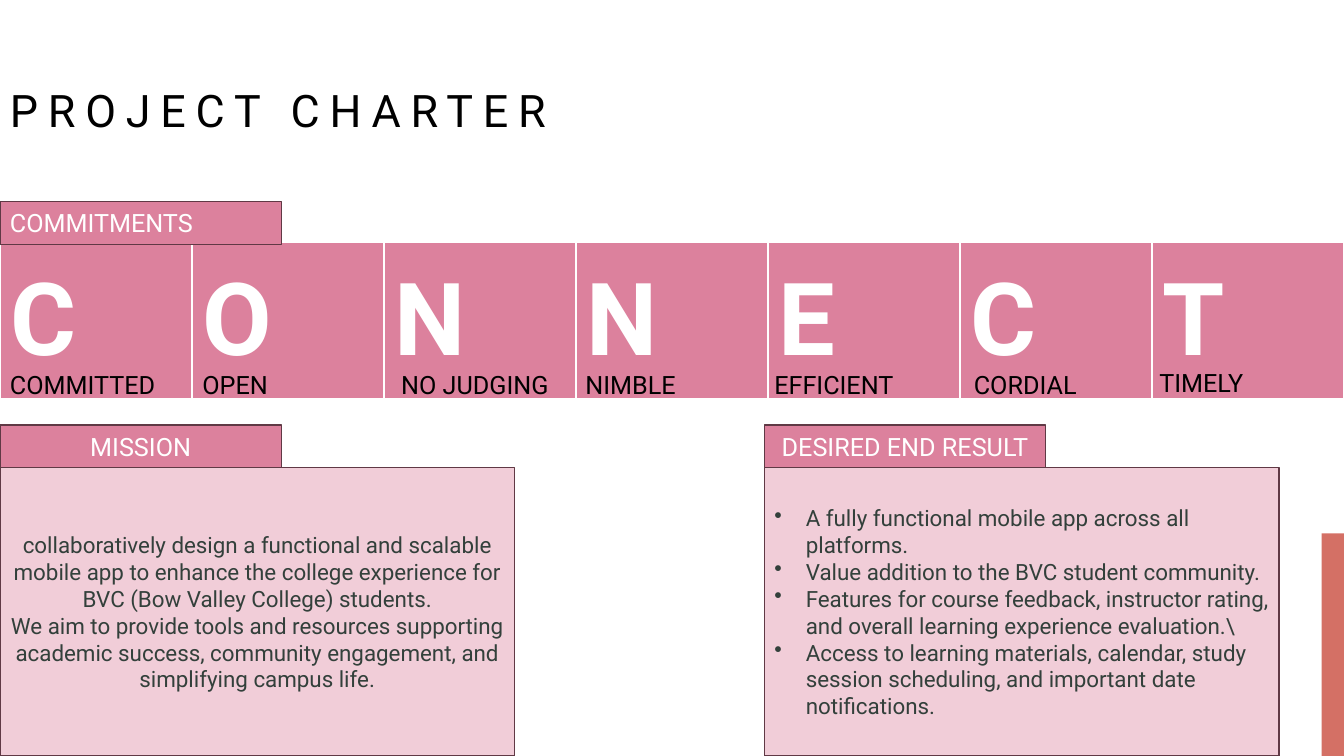
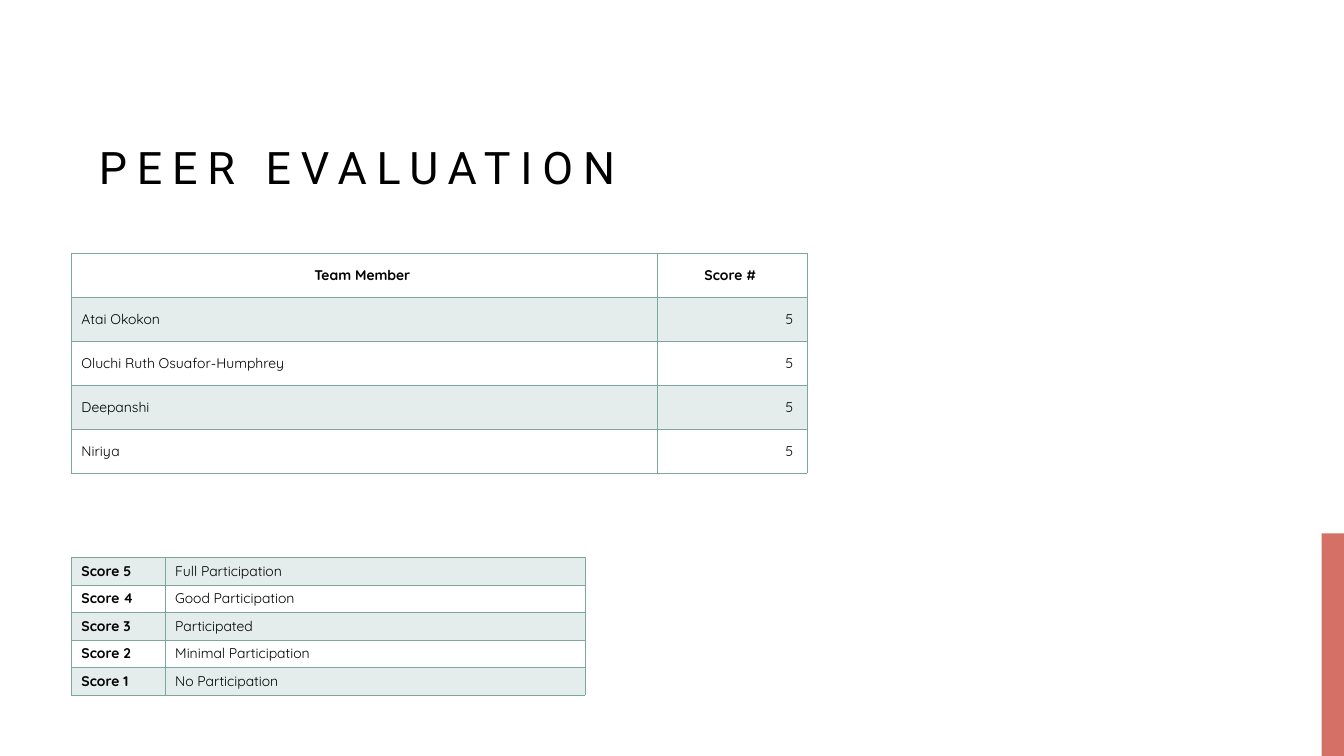
"""Build the project charter and peer evaluation slides."""
from dataclasses import dataclass

from lxml import etree
from pptx import Presentation
from pptx import util as u
from pptx.dml.color import RGBColor
from pptx.enum import shapes, text
from pptx.oxml.ns import qn

Pt = u.Pt
LEFT, CENTER, RIGHT = text.PP_ALIGN.LEFT, text.PP_ALIGN.CENTER, text.PP_ALIGN.RIGHT
MIDDLE, BOTTOM, TOP = text.MSO_ANCHOR.MIDDLE, text.MSO_ANCHOR.BOTTOM, text.MSO_ANCHOR.TOP


@dataclass(frozen=True)
class Theme:
    white: str = "FFFFFF"
    black: str = "000000"
    ink: str = "33403B"
    rose: str = "DC819D"
    blush: str = "F1CDD8"
    outline: str = "603945"
    coral: str = "D47065"
    mist: str = "E4EDEB"
    sage: str = "7BA79D"
    display: str = "Roboto"
    body: str = "Quicksand"
    title_size: int = 32
    letter_size: int = 72
    label_size: int = 18
    panel_size: int = 16
    table_size: int = 10


theme = Theme()


def write(frame, lines, color, font, align=LEFT, anchor=TOP, bullet=False):
    for name, value in {"word_wrap": True, "vertical_anchor": anchor}.items():
        setattr(frame, name, value)
    for index, line in enumerate(lines):
        paragraph = frame.add_paragraph() if index else frame.paragraphs[0]
        paragraph.alignment = align
        if bullet:
            properties = paragraph._p.get_or_add_pPr()
            properties.set("marL", str(Pt(22.5)))
            properties.set("indent", str(-Pt(22.5)))
            etree.SubElement(properties, qn("a:buChar")).set("char", "•")
        run = paragraph.add_run()
        run.text = line
        for name, value in font.items():
            setattr(run.font, name, value)
        run.font.color.rgb = RGBColor.from_string(color)


def draw_table(slide, left, top, widths, height, rows, borders):
    size = len(rows), len(widths)
    frame = slide.shapes.add_table(*size, Pt(left), Pt(top), Pt(sum(widths)), Pt(height * len(rows)))
    table = frame.table
    table.first_row = table.horz_banding = False
    for column, width in zip(table.columns, widths):
        column.width = Pt(width)
    for row, contents in zip(table.rows, rows):
        row.height = Pt(height)
        for cell, (words, fill, color, font, align) in zip(row.cells, contents):
            write(cell.text_frame, [words], color, font, align)
            cell.vertical_anchor = MIDDLE
            if fill:
                cell.fill.solid()
                cell.fill.fore_color.rgb = RGBColor.from_string(fill)
            else:
                cell.fill.background()
            properties = cell._tc.get_or_add_tcPr()
            for index, (side, (line_color, width)) in enumerate(zip("LRTB", borders)):
                line = etree.Element(qn(f"a:ln{side}"), w=str(Pt(width)))
                solid = etree.SubElement(line, qn("a:solidFill"))
                etree.SubElement(solid, qn("a:srgbClr")).set("val", line_color)
                properties.insert(index, line)


presentation = Presentation()
presentation.slide_width, presentation.slide_height = Pt(960), Pt(540)

slides = []
title_font = {"name": theme.display, "size": Pt(theme.title_size)}
for title, left, top in [("PROJECT CHARTER", 0, -12), ("PEER EVALUATION", 63.5, 29)]:
    slide = presentation.slides.add_slide(presentation.slide_layouts[6])
    bar = slide.shapes.add_shape(shapes.MSO_SHAPE.RECTANGLE, Pt(944), Pt(381), Pt(16), Pt(159))
    bar.shadow.inherit = False
    bar.fill.solid()
    bar.fill.fore_color.rgb = RGBColor.from_string(theme.coral)
    bar.line.fill.background()
    box = slide.shapes.add_textbox(Pt(left), Pt(top), Pt(816), Pt(113))
    write(box.text_frame, [title], theme.black, title_font, anchor=BOTTOM)
    paragraph = box.text_frame.paragraphs[0]
    paragraph.line_spacing = 1.2
    paragraph.runs[0]._r.get_or_add_rPr().set("spc", "700")
    slides.append(slide)
charter, evaluation = slides

letter_font = {"name": theme.display, "size": Pt(theme.letter_size), "bold": True}
letters = [(letter, theme.rose, theme.white, letter_font, LEFT) for letter in "CONNECT"]
letter_borders = [(theme.white, 1)] * 3 + [(theme.white, 3)]
draw_table(charter, 0, 172.8, [960 / 7] * 7, 113, [letters], letter_borders)

label_font = {"name": theme.display, "size": Pt(theme.label_size)}
panel_font = {"name": theme.display, "size": Pt(theme.panel_size)}
mission = [
    "collaboratively design a functional and scalable mobile app to enhance the college "
    "experience for BVC (Bow Valley College) students.",
    "We aim to provide tools and resources supporting academic success, community engagement, "
    "and simplifying campus life.",
]
results = [
    "A fully functional mobile app across all platforms.",
    "Value addition to the BVC student community.",
    "Features for course feedback, instructor rating, and overall learning experience evaluation.\\",
    "Access to learning materials, calendar, study session scheduling, and important date notifications.",
]
tab_size, panel_size = (201, 30.5), (367.5, 206)
tab_style = theme.rose, theme.white, label_font
panel_style = theme.blush, theme.ink, panel_font
for lines, left, top, (width, height), (fill, color, font), align, bullet in [
    (mission, 0, 334, panel_size, panel_style, CENTER, False),
    (["MISSION"], 0, 303.5, tab_size, tab_style, CENTER, False),
    (["DESIRED END RESULT"], 546, 303.5, tab_size, tab_style, CENTER, False),
    (results, 546, 334, panel_size, panel_style, LEFT, True),
    (["COMMITMENTS"], 0, 144, tab_size, tab_style, LEFT, False),
]:
    shape = charter.shapes.add_shape(
        shapes.MSO_SHAPE.RECTANGLE, Pt(left), Pt(top), Pt(width), Pt(height))
    shape.shadow.inherit = False
    shape.fill.solid()
    shape.fill.fore_color.rgb = RGBColor.from_string(fill)
    shape.line.color.rgb = RGBColor.from_string(theme.outline)
    shape.line.width = Pt(1)
    write(shape.text_frame, lines, color, font, align, MIDDLE, bullet)

for label, left, top in [
    ("COMMITTED", 0, 260.5), ("OPEN", 137.5, 260.5), ("NO JUDGING", 279.5, 260.5),
    ("NIMBLE", 411, 260), ("EFFICIENT", 546, 260), ("CORDIAL", 688.5, 260.5),
    ("TIMELY", 821, 258.5),
]:
    box = charter.shapes.add_textbox(Pt(left), Pt(top), Pt(137.5), Pt(29))
    write(box.text_frame, [label], theme.black, label_font)

cell_font = {"name": theme.body, "size": Pt(theme.table_size), "bold": False}
bold_font = {**cell_font, "bold": True}
grid_borders = [(theme.sage, 0.38)] * 4
members = ["Atai Okokon ", "Oluchi Ruth Osuafor-Humphrey ", "Deepanshi ", "Niriya "]
score_rows = [[(words, None, theme.black, bold_font, CENTER) for words in ("Team Member ", "Score # ")]]
for index, member in enumerate(members):
    fill = None if index % 2 else theme.mist
    score_rows.append([(member, fill, theme.black, cell_font, LEFT),
                       ("5 ", fill, theme.black, cell_font, RIGHT)])
draw_table(evaluation, 51, 181, [418.5, 107], 31.4, score_rows, grid_borders)

meanings = ["Full Participation", "Good Participation", "Participated",
            "Minimal Participation", "No Participation"]
key_rows = []
for index, meaning in enumerate(meanings):
    fill = None if index % 2 else theme.mist
    key_rows.append([(f"Score {5 - index}", fill, theme.black, bold_font, LEFT),
                     (meaning, fill, theme.black, cell_font, LEFT)])
draw_table(evaluation, 51, 398, [67, 300], 19.7, key_rows, grid_borders)

presentation.save("out.pptx")
